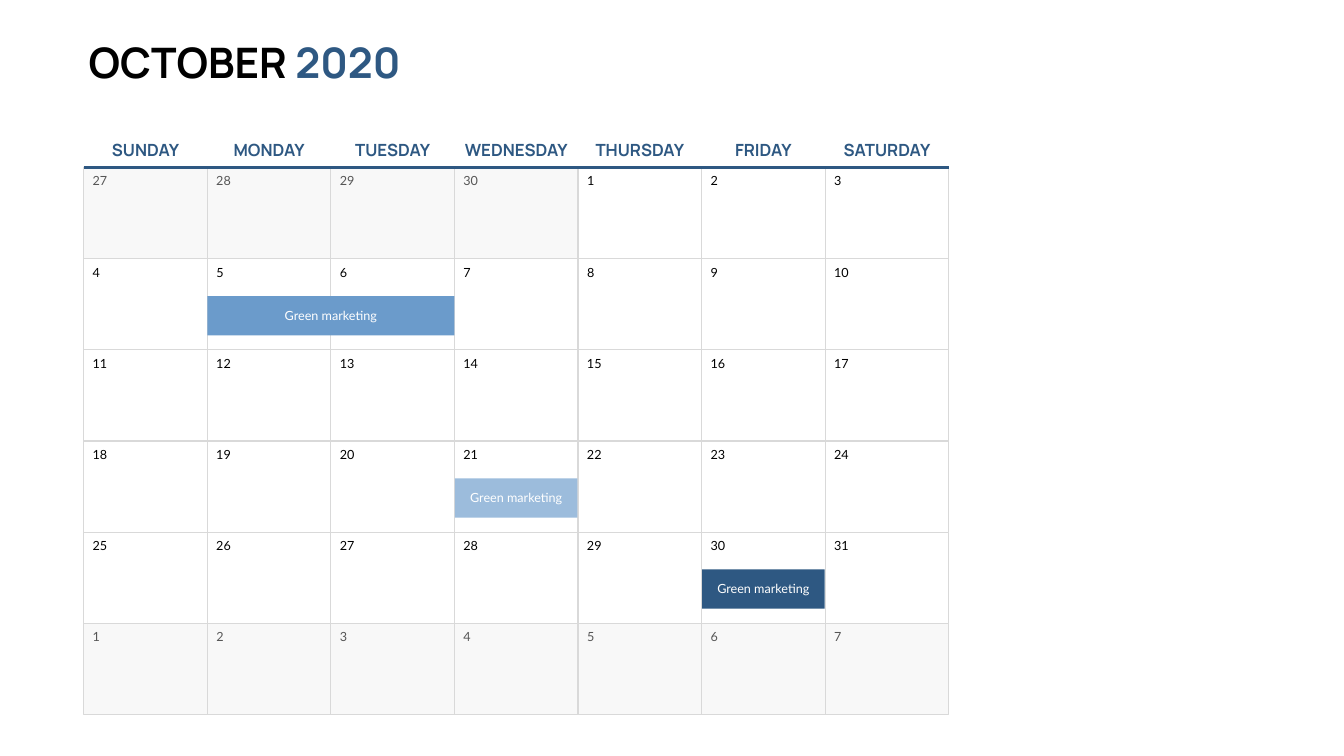
from lxml.etree import SubElement
from pptx import Presentation
from pptx.dml.color import RGBColor
from pptx.enum.shapes import MSO_CONNECTOR, MSO_SHAPE
from pptx.enum.text import MSO_ANCHOR, MSO_AUTO_SIZE, PP_ALIGN
from pptx.oxml.ns import qn
from pptx.util import Inches, Pt

NAVY = RGBColor(0x2E, 0x58, 0x82)
BLUE = RGBColor(0x6B, 0x9B, 0xCB)
SKY = RGBColor(0x9C, 0xBC, 0xDC)
BLACK = RGBColor(0, 0, 0)
WHITE = RGBColor(0xFF, 0xFF, 0xFF)
GRAY = RGBColor(0x56, 0x56, 0x56)
PALE = RGBColor(0xF2, 0xF2, 0xF2)
BORDER = RGBColor(0xD9, 0xD9, 0xD9)

LEFT, TOP, WIDTH, HEIGHT = 1.66, 3.33, 17.16, 10.84
COLUMNS, ROWS = 7, 6
CELL_WIDTH, CELL_HEIGHT = WIDTH / COLUMNS, HEIGHT / ROWS
LEADING_DAYS = range(27, 31)
MONTH_DAYS = range(1, 32)
TRAILING_DAYS = range(1, 8)
WEEKDAYS = [("SUNDAY", 1.62), ("MONDAY", 1.75), ("TUESDAY", 1.75), ("WEDNESDAY", 2.35),
            ("THURSDAY", 2.03), ("FRIDAY", 1.43), ("SATURDAY", 2.03)]
EVENTS = [("Green marketing", 1, 1, 2, BLUE),
          ("Green marketing", 3, 3, 1, SKY),
          ("Green marketing", 4, 5, 1, NAVY)]


def cell_corner(row, column):
    return LEFT + column * CELL_WIDTH, TOP + row * CELL_HEIGHT


def add_text(shapes, box, text, font_name, size, color, bold=False,
             align=PP_ALIGN.LEFT, anchor=MSO_ANCHOR.MIDDLE, wrap=False):
    frame = shapes.add_textbox(*map(Inches, box)).text_frame
    frame.word_wrap = wrap
    frame.auto_size = MSO_AUTO_SIZE.SHAPE_TO_FIT_TEXT
    frame.vertical_anchor = anchor
    para = frame.paragraphs[0]
    para.alignment = align
    para.font.name = font_name
    para.font.size = Pt(size)
    para.font.bold = bold
    para.font.color.rgb = color
    para.add_run().text = text
    return para


def add_rectangle(shapes, box, fill):
    rectangle = shapes.add_shape(MSO_SHAPE.RECTANGLE, *map(Inches, box))
    rectangle.shadow.inherit = False
    rectangle.fill.solid()
    rectangle.fill.fore_color.rgb = fill
    rectangle.line.fill.background()
    return rectangle


def add_title(page, box, month, year):
    para = add_text(page.shapes, box, month + " ", "Manrope", 60, BLACK, True,
                    anchor=MSO_ANCHOR.TOP)
    span = para.add_run()
    span.text = year
    span.font.color.rgb = NAVY


def add_day(page, box, day, in_month):
    left, top = box[:2]
    cell = add_rectangle(page.shapes, box, WHITE if in_month else PALE)
    cell.line.color.rgb = BORDER
    cell.line.width = Pt(1.5)
    if not in_month:
        color = cell.fill._xPr.find(qn("a:solidFill"))[0]
        SubElement(color, qn("a:alpha")).set("val", "50000")
    number_width = 0.5 if day > 9 else 0.35
    add_text(page.shapes, (left + 0.08, top + 0.06, number_width, 0.4), str(day),
             "Lato", 18, BLACK if in_month else GRAY)


def add_days(page):
    days = [(day, False) for day in LEADING_DAYS]
    days += [(day, True) for day in MONTH_DAYS]
    days += [(day, False) for day in TRAILING_DAYS]
    for index, (day, in_month) in enumerate(days):
        corner = cell_corner(*divmod(index, COLUMNS))
        add_day(page, (*corner, CELL_WIDTH, CELL_HEIGHT), day, in_month)


def add_header(page, left, top, height):
    for column, (name, width) in enumerate(WEEKDAYS):
        center = left + (column + 0.5) * CELL_WIDTH
        add_text(page.shapes, (center - width / 2, top, width, height), name,
                 "Manrope", 24, NAVY, True, PP_ALIGN.CENTER)
    rule = page.shapes.add_connector(MSO_CONNECTOR.STRAIGHT, Inches(left), Inches(TOP),
                                     Inches(left + WIDTH), Inches(TOP))
    rule.line.color.rgb = NAVY
    rule.line.width = Pt(4.5)
    SubElement(rule._element.spPr, qn("a:effectLst"))


def add_event(page, box, name, fill):
    left, top, width, height = box
    inset = 0.24 if width > CELL_WIDTH else 0.16
    group = page.shapes.add_group_shape()
    add_rectangle(group.shapes, box, fill)
    add_text(group.shapes, (left + inset, top + 0.19, width - 2 * inset, 0.4), name,
             "Lato", 18, WHITE, align=PP_ALIGN.CENTER, anchor=MSO_ANCHOR.TOP, wrap=True)


def add_calendar(page):
    add_days(page)
    add_header(page, LEFT, 2.72, 0.5)
    for name, row, column, length, fill in EVENTS:
        left, top = cell_corner(row, column)
        gap = 0.01 if length == 1 else 0
        add_event(page, (left + gap, top + 0.74, length * CELL_WIDTH - 2 * gap, 0.78),
                  name, fill)


deck = Presentation()
deck.slide_width = Inches(26.66)
deck.slide_height = Inches(15)
page = deck.slides.add_slide(deck.slide_layouts[6])
add_title(page, (1.66, 0.67, 6.46, 1.11), "OCTOBER", "2020")
add_calendar(page)
deck.save("out.pptx")
